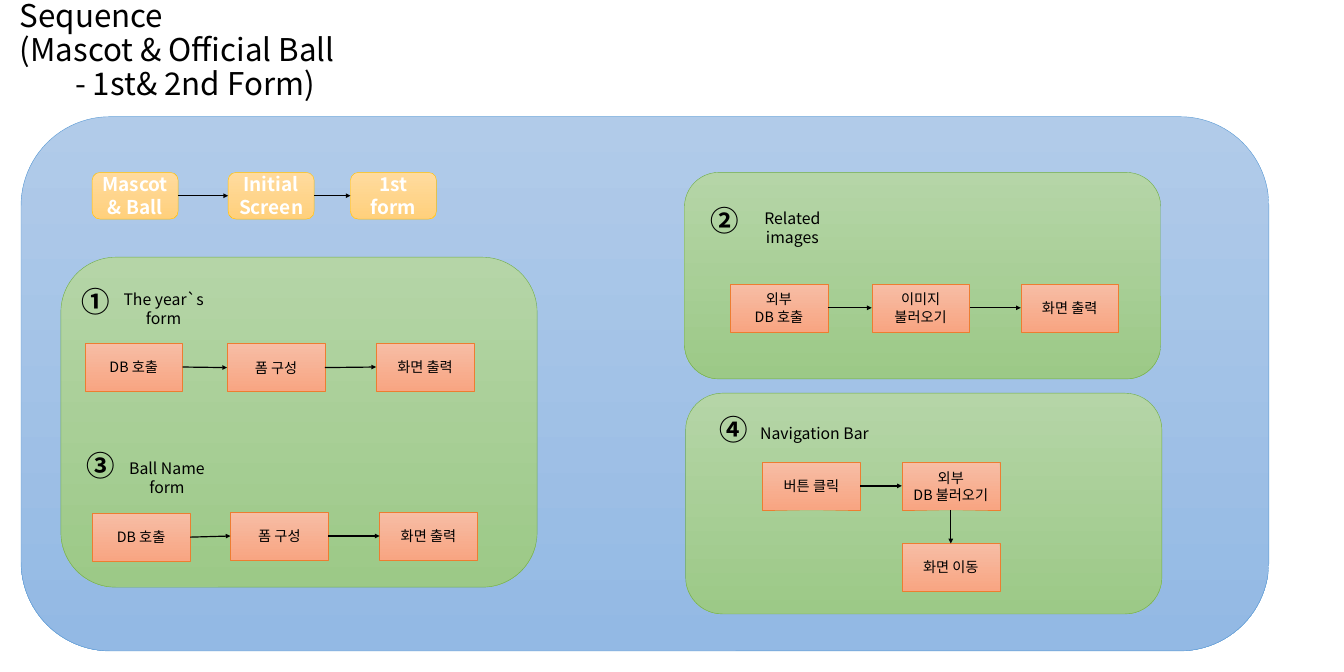
from dataclasses import dataclass

from lxml.etree import SubElement
from pptx import Presentation
from pptx.dml.color import RGBColor
from pptx.enum.shapes import MSO_CONNECTOR, MSO_SHAPE
from pptx.enum.text import MSO_ANCHOR, PP_ALIGN
from pptx.oxml.ns import qn
from pptx.shapes.autoshape import Shape
from pptx.slide import Slide
from pptx.text.text import TextFrame
from pptx.util import Pt

FONT = "Noto Sans CJK KR"
BLACK, WHITE = "000000", "FFFFFF"
TOP, LEFT, BOTTOM, RIGHT = range(4)


@dataclass(frozen=True)
class Style:
    preset: MSO_SHAPE
    top_color: str
    bottom_color: str
    line_color: str
    text_color: str = BLACK
    text_size: float = 18
    bold: bool = False


@dataclass(frozen=True)
class Area:
    left: float
    top: float
    width: float
    height: float


@dataclass(frozen=True)
class Step:
    left: float
    top: float
    lines: tuple[str, ...]


@dataclass(frozen=True)
class Heading:
    number: str
    number_area: Area
    label: str
    label_area: Area


@dataclass(frozen=True)
class Flow:
    style: Style
    width: float
    height: float
    steps: tuple[Step, ...]


ROUNDED = MSO_SHAPE.ROUNDED_RECTANGLE
BACKDROP = Style(ROUNDED, "B1CBE9", "93B9E4", "5B9BD5")
PANEL = Style(ROUNDED, "B5D5A7", "9CC987", "70AD47")
SCREEN = Style(ROUNDED, "FFDB9E", "FFD07C", "FFC000", WHITE, 24, True)
ACTION = Style(MSO_SHAPE.RECTANGLE, "F7BDA5", "F8A582", "ED7D31")

BACKDROP_AREA = Area(26.64, 147.6, 1578.96, 676.08)
PANEL_AREAS = (
    Area(77.04, 325.44, 602.64, 417.6),
    Area(866.16, 218.16, 602.64, 261.36),
    Area(867.6, 497.52, 602.64, 279.36),
)
TITLE_AREA = Area(18, 12.96, 659.52, 103.68)
TITLE_LINES = ("Sequence", "(Mascot & Official Ball", "- 1st& 2nd Form)")
TITLE_INDENT = 70

HEADINGS = (
    Heading("①", Area(103.68, 360, 69.12, 43.92),
            "The year`s form", Area(131.04, 363.6, 151.92, 55.44)),
    Heading("②", Area(898.56, 257.04, 69.12, 43.92),
            "Related images", Area(926.64, 260.64, 151.92, 55.44)),
    Heading("③", Area(109.44, 566.64, 69.12, 43.92),
            "Ball Name form", Area(135.36, 577.44, 151.92, 55.44)),
    Heading("④", Area(910.8, 522, 55.44, 46.8),
            "Navigation Bar", Area(946.8, 532.08, 167.76, 31.68)),
)


def action_flow(*steps: Step) -> Flow:
    return Flow(ACTION, 123.84, 60.48, steps)


FLOWS = (
    Flow(SCREEN, 108.72, 59.04, (
        Step(116.64, 218.16, ("Mascot", "& Ball")),
        Step(288.72, 218.16, ("Initial", "Screen")),
        Step(443.52, 218.16, ("1st", "form")),
    )),
    action_flow(
        Step(107.28, 434.16, ("DB 호출",)),
        Step(287.28, 434.88, ("폼 구성",)),
        Step(475.92, 434.16, ("화면 출력",)),
    ),
    action_flow(
        Step(923.76, 359.28, ("외부", "DB 호출")),
        Step(1103.04, 359.28, ("이미지", "불러오기")),
        Step(1291.68, 359.28, ("화면 출력",)),
    ),
    action_flow(
        Step(116.64, 649.44, ("DB 호출",)),
        Step(291.6, 648, ("폼 구성",)),
        Step(480.24, 648, ("화면 출력",)),
    ),
    action_flow(
        Step(964.8, 584.64, ("버튼 클릭",)),
        Step(1141.2, 584.64, ("외부", "DB 불러오기")),
        Step(1141.2, 687.6, ("화면 이동",)),
    ),
)


def color(value: str) -> RGBColor:
    return RGBColor.from_string(value)


def write_lines(frame: TextFrame, lines: tuple[str, ...], size: float,
                text_color: str = BLACK, bold: bool = False,
                align: PP_ALIGN = PP_ALIGN.CENTER) -> None:
    frame.word_wrap = True
    for index, line in enumerate(lines):
        para = frame.add_paragraph() if index else frame.paragraphs[0]
        para.add_run().text = line
        para.alignment = align
        para.font.size = Pt(size)
        para.font.bold = bold
        para.font.color.rgb = color(text_color)
        para.font.name = FONT
        defaults = para._p.pPr.find(qn("a:defRPr"))
        SubElement(defaults, qn("a:ea")).set("typeface", FONT)


def add_box(page: Slide, style: Style, area: Area, lines: tuple[str, ...] = ()) -> Shape:
    box = page.shapes.add_shape(style.preset, Pt(area.left), Pt(area.top),
                                Pt(area.width), Pt(area.height))
    box.shadow.inherit = False
    box.fill.gradient()
    box.fill.gradient_angle = 270
    for stop, value in zip(box.fill.gradient_stops, (style.top_color, style.bottom_color)):
        stop.color.rgb = color(value)
    box.line.color.rgb = color(style.line_color)
    box.line.width = Pt(0.5)
    box.text_frame.vertical_anchor = MSO_ANCHOR.MIDDLE
    write_lines(box.text_frame, lines, style.text_size, style.text_color, style.bold)
    return box


def add_frame(page: Slide, area: Area) -> TextFrame:
    return page.shapes.add_textbox(Pt(area.left), Pt(area.top),
                                   Pt(area.width), Pt(area.height)).text_frame


def add_arrow(page: Slide, start: Shape, end: Shape) -> None:
    downward = start.left == end.left
    arrow = page.shapes.add_connector(MSO_CONNECTOR.STRAIGHT, 0, 0, 0, 0)
    arrow.begin_connect(start, BOTTOM if downward else RIGHT)
    arrow.end_connect(end, TOP if downward else LEFT)
    arrow.line.color.rgb = color(BLACK)
    arrow.line.width = Pt(1.5)
    SubElement(arrow.line._get_or_add_ln(), qn("a:tailEnd")).set("type", "triangle")
    SubElement(arrow._element.spPr, qn("a:effectLst"))


def add_flow(page: Slide, flow: Flow) -> None:
    boxes = [add_box(page, flow.style, Area(step.left, step.top, flow.width, flow.height),
                     step.lines) for step in flow.steps]
    for start, end in zip(boxes, boxes[1:]):
        add_arrow(page, start, end)


def add_heading(page: Slide, heading: Heading) -> None:
    number = add_frame(page, heading.number_area)
    number.margin_left = number.margin_top = number.margin_right = number.margin_bottom = 0
    write_lines(number, (heading.number,), 36, bold=True, align=PP_ALIGN.LEFT)
    write_lines(add_frame(page, heading.label_area), (heading.label,), 20)


def add_title(page: Slide) -> None:
    frame = add_frame(page, TITLE_AREA)
    frame.vertical_anchor = MSO_ANCHOR.MIDDLE
    write_lines(frame, TITLE_LINES, 39.6, align=PP_ALIGN.LEFT)
    for para in frame.paragraphs:
        para.line_spacing = 0.9
    frame.paragraphs[-1]._p.pPr.set("marL", str(Pt(TITLE_INDENT)))


def main() -> None:
    deck = Presentation()
    deck.slide_width, deck.slide_height = Pt(1700.64), Pt(850.32)
    page = deck.slides.add_slide(deck.slide_layouts[6])
    add_box(page, BACKDROP, BACKDROP_AREA)
    add_title(page)
    for area in PANEL_AREAS:
        add_box(page, PANEL, area)
    for heading in HEADINGS:
        add_heading(page, heading)
    for flow in FLOWS:
        add_flow(page, flow)
    deck.save("out.pptx")


if __name__ == "__main__":
    main()
